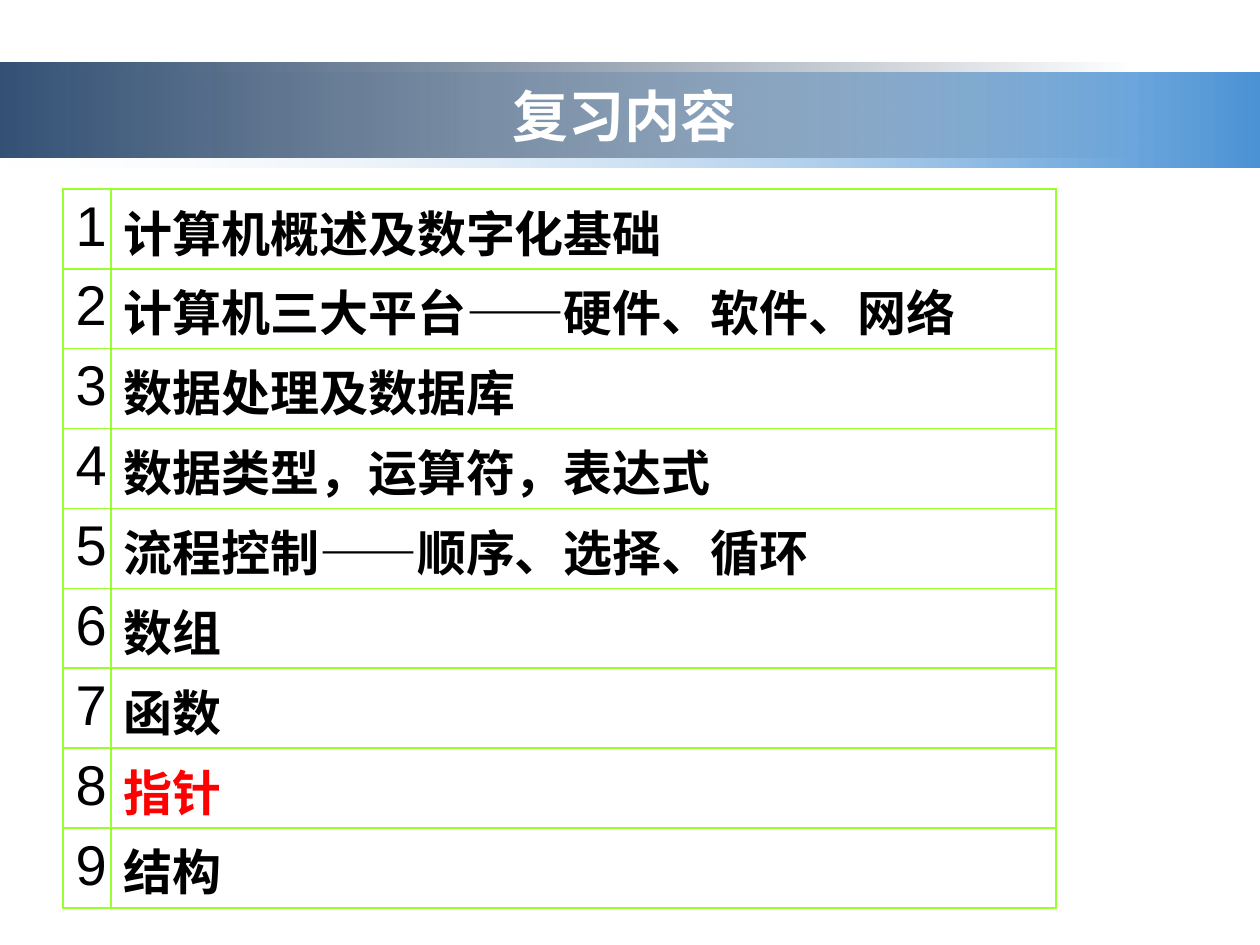
from lxml import etree
from pptx import Presentation
from pptx.dml.color import RGBColor
from pptx.enum.shapes import MSO_SHAPE
from pptx.enum.text import MSO_ANCHOR, PP_ALIGN
from pptx.oxml import parse_xml
from pptx.oxml.ns import nsdecls, qn
from pptx.util import Pt

RECT = MSO_SHAPE.RECTANGLE
MIDDLE = MSO_ANCHOR.MIDDLE
LEFT, CENTER = PP_ALIGN.LEFT, PP_ALIGN.CENTER

PX = 914400 / 126
BORDER = "99FF33"
TOPICS = [
    "计算机概述及数字化基础",
    "计算机三大平台——硬件、软件、网络",
    "数据处理及数据库",
    "数据类型，运算符，表达式",
    "流程控制——顺序、选择、循环",
    "数组",
    "函数",
    "指针",
    "结构",
]
CURRENT_TOPIC = "指针"


def px(length):
    return round(length * PX)


def color(hex_code):
    return RGBColor.from_string(hex_code)


def style_text(frame, text, size, hex_code, align, bold, font=None):
    frame.text = text
    paragraph = frame.paragraphs[0]
    paragraph.alignment = align
    run_font = paragraph.runs[0].font
    run_font.size = Pt(size)
    run_font.bold = bold
    run_font.color.rgb = color(hex_code)
    if font:
        run_font.name = font
    return run_font


def add_band(slide, left, top, width, height, start, end, clear_stop):
    """Horizontal gradient band; the stop at clear_stop is fully transparent."""
    band = slide.shapes.add_shape(RECT, px(left), px(top), px(width), px(height))
    band.shadow.inherit = False
    band.line.fill.background()
    band.fill.gradient()
    band.fill.gradient_angle = 0
    stops = band.fill.gradient_stops
    for stop, position, hex_code in zip(stops, (0, 1), (start, end)):
        stop.position = position
        stop.color.rgb = color(hex_code)
    clear = band.fill._fill._gradFill.findall(".//" + qn("a:srgbClr"))[clear_stop]
    etree.SubElement(clear, qn("a:alpha")).set("val", "0")


def add_header(slide, left, top, width, height):
    # Two overlapping bands, one fading in and one fading out
    add_band(slide, left, top + 10, width, height, "F1F5FA", "4B93D5", 0)
    add_band(slide, left, top, width - 126, height, "335175", "243A54", 1)
    # Title
    title = slide.shapes.add_textbox(
        px(left + 116), px(top + 13), px(width - 242), px(78))
    frame = title.text_frame
    frame.word_wrap = True
    frame.vertical_anchor = MIDDLE
    font = style_text(frame, "复习内容", 32, "FFFFFF", CENTER, True, "Noto Sans CJK SC")
    east_asian = etree.SubElement(font._element, qn("a:ea"))
    east_asian.set("typeface", "Noto Sans CJK SC")


def set_borders(cell):
    properties = cell._tc.get_or_add_tcPr()
    for index, side in enumerate("LRTB"):
        properties.insert(index, parse_xml(
            f'<a:ln{side} {nsdecls("a")} w="{Pt(1)}"><a:solidFill>'
            f'<a:srgbClr val="{BORDER}"/></a:solidFill></a:ln{side}>'))


def add_topics(slide, left, top, column_widths, row_height):
    table = slide.shapes.add_table(
        len(TOPICS), len(column_widths), px(left), px(top),
        px(sum(column_widths)), px(row_height * len(TOPICS))).table
    table.first_row = False
    table.horz_banding = False
    for column, width in zip(table.columns, column_widths):
        column.width = px(width)
    for number, (row, topic) in enumerate(zip(table.rows, TOPICS), 1):
        row.height = px(row_height)
        number_cell, topic_cell = row.cells
        topic_color = "FF0000" if topic == CURRENT_TOPIC else "000000"
        style_text(number_cell.text_frame, str(number), 32, "000000", CENTER, False, "Arial")
        style_text(topic_cell.text_frame, topic, 28, topic_color, LEFT, True, "Arial")
        for cell in row.cells:
            cell.fill.solid()
            cell.fill.fore_color.rgb = color("FFFFFF")
            set_borders(cell)


def main():
    presentation = Presentation()
    presentation.slide_width = px(1260)
    presentation.slide_height = px(945)
    slide = presentation.slides.add_slide(presentation.slide_layouts[6])
    add_header(slide, 0, 63, 1260, 95)
    add_topics(slide, 63, 189, (48, 945), 79)
    presentation.save("out.pptx")


if __name__ == "__main__":
    main()
